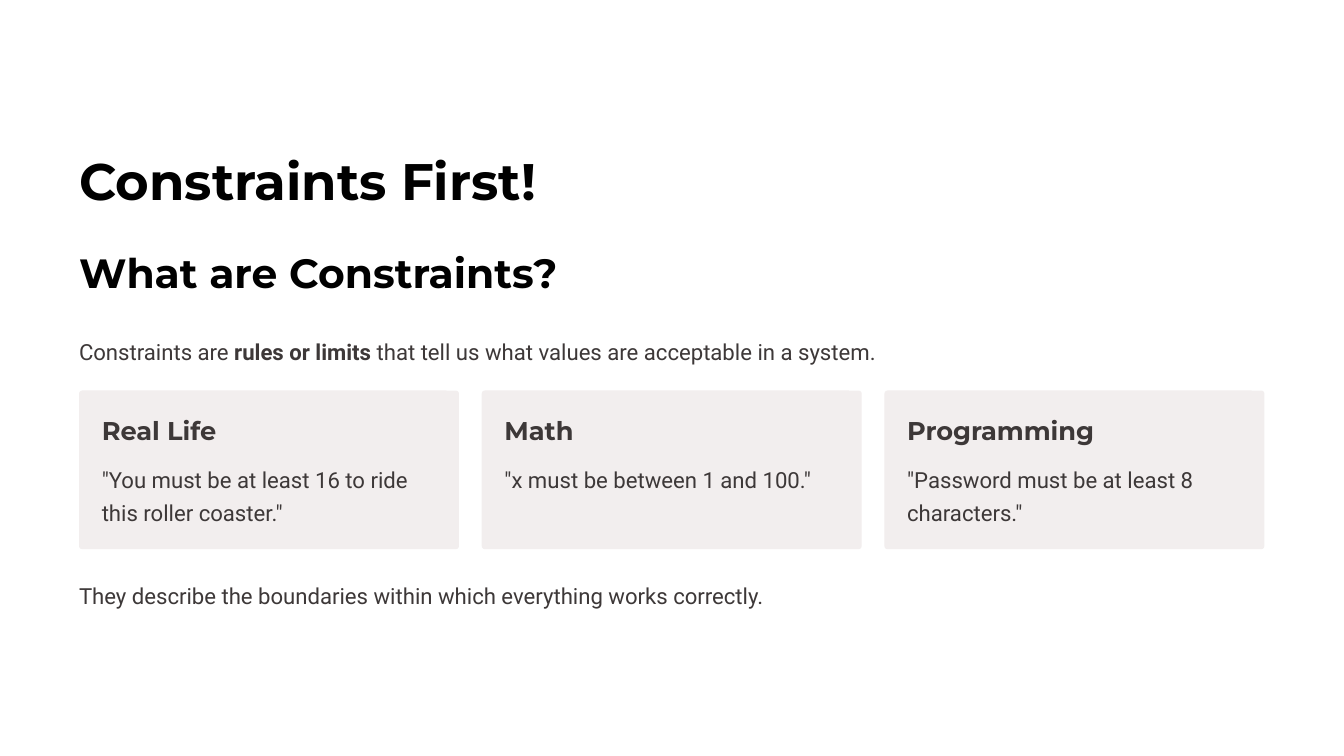
from dataclasses import dataclass

from pptx import Presentation
from pptx.dml.color import RGBColor
from pptx.enum.shapes import MSO_SHAPE
from pptx.enum.text import MSO_ANCHOR, MSO_AUTO_SIZE, PP_ALIGN
from pptx.util import Pt

ROUNDED = MSO_SHAPE.ROUNDED_RECTANGLE
TOP = MSO_ANCHOR.TOP
NO_FIT = MSO_AUTO_SIZE.NONE
LEFT = PP_ALIGN.LEFT
TITLE_ONLY = 5


@dataclass(frozen=True)
class Style:
    font: str
    size: float
    leading: float
    color: RGBColor
    bold: bool = False


class Theme:
    black = RGBColor(0x00, 0x00, 0x00)
    ink = RGBColor(0x3D, 0x38, 0x38)
    card = RGBColor(0xF2, 0xEE, 0xEE)
    title = Style("Montserrat", 44, 55, black, True)
    subtitle = Style("Montserrat", 35, 44, black, True)
    card_title = Style("Montserrat", 22, 27.5, ink, True)
    body = Style("Roboto", 19, 29, ink)


CARDS = [
    ("Real Life", '"You must be at least 16 to ride this roller coaster."'),
    ("Math", '"x must be between 1 and 100."'),
    ("Programming", '"Password must be at least 8 characters."'),
]


def write(box, style, spans, wrap=False):
    frame = box.text_frame
    frame.margin_left = frame.margin_right = 0
    frame.margin_top = frame.margin_bottom = 0
    frame.auto_size = NO_FIT
    frame.word_wrap = wrap
    frame.vertical_anchor = TOP
    para = frame.paragraphs[0]
    para.alignment = LEFT
    para.line_spacing = Pt(style.leading)
    for text, bold in spans:
        span = para.add_run()
        span.text = text
        span.font.name = style.font
        span.font.size = Pt(style.size)
        span.font.bold = style.bold or bold
        span.font.color.rgb = style.color


def add_text(page, left, top, width, height, style, *spans, wrap=False):
    box = page.shapes.add_textbox(Pt(left), Pt(top), Pt(width), Pt(height))
    write(box, style, spans, wrap)


def add_heading(page, left, top, width):
    title = page.shapes.title
    title.left, title.top = Pt(left), Pt(top)
    title.width, title.height = Pt(width), Pt(55)
    write(title, Theme.title, [("Constraints First!", False)])
    add_text(page, left, top + 84.25, width, 44, Theme.subtitle,
             ("What are Constraints?", False))


def add_card(page, left, top, width, height, heading, example):
    padding = 19.5
    card = page.shapes.add_shape(ROUNDED, Pt(left), Pt(top), Pt(width), Pt(height))
    card.adjustments[0] = 0.02
    card.shadow.inherit = False
    card.fill.solid()
    card.fill.fore_color.rgb = Theme.card
    card.line.fill.background()
    inner_left, inner_width = left + padding, width - 2 * padding
    add_text(page, inner_left, top + padding, inner_width, 27.5,
             Theme.card_title, (heading, False))
    add_text(page, inner_left, top + 58.5, inner_width, 58,
             Theme.body, (example, False), wrap=True)


def add_cards(page, left, top, width, height):
    gap = 19.5
    card_width = (width - gap * (len(CARDS) - 1)) / len(CARDS)
    for index, (heading, example) in enumerate(CARDS):
        add_card(page, left + index * (card_width + gap), top, card_width, height,
                 heading, example)


def add_constraints_slide(deck):
    page = deck.slides.add_slide(deck.slide_layouts[TITLE_ONLY])
    left, width = 67.75, 1016
    add_heading(page, left, 126, width)
    add_text(page, left, 283.75, width, 29, Theme.body,
             ("Constraints are ", False),
             ("rules or limits", True),
             (" that tell us what values are acceptable in a system.", False))
    add_cards(page, left, 334.75, width, 136)
    add_text(page, left, 493.25, width, 29, Theme.body,
             ("They describe the boundaries within which everything works correctly.", False))


def main():
    deck = Presentation()
    deck.slide_width, deck.slide_height = Pt(1152), Pt(648)
    add_constraints_slide(deck)
    deck.save("out.pptx")


if __name__ == "__main__":
    main()
